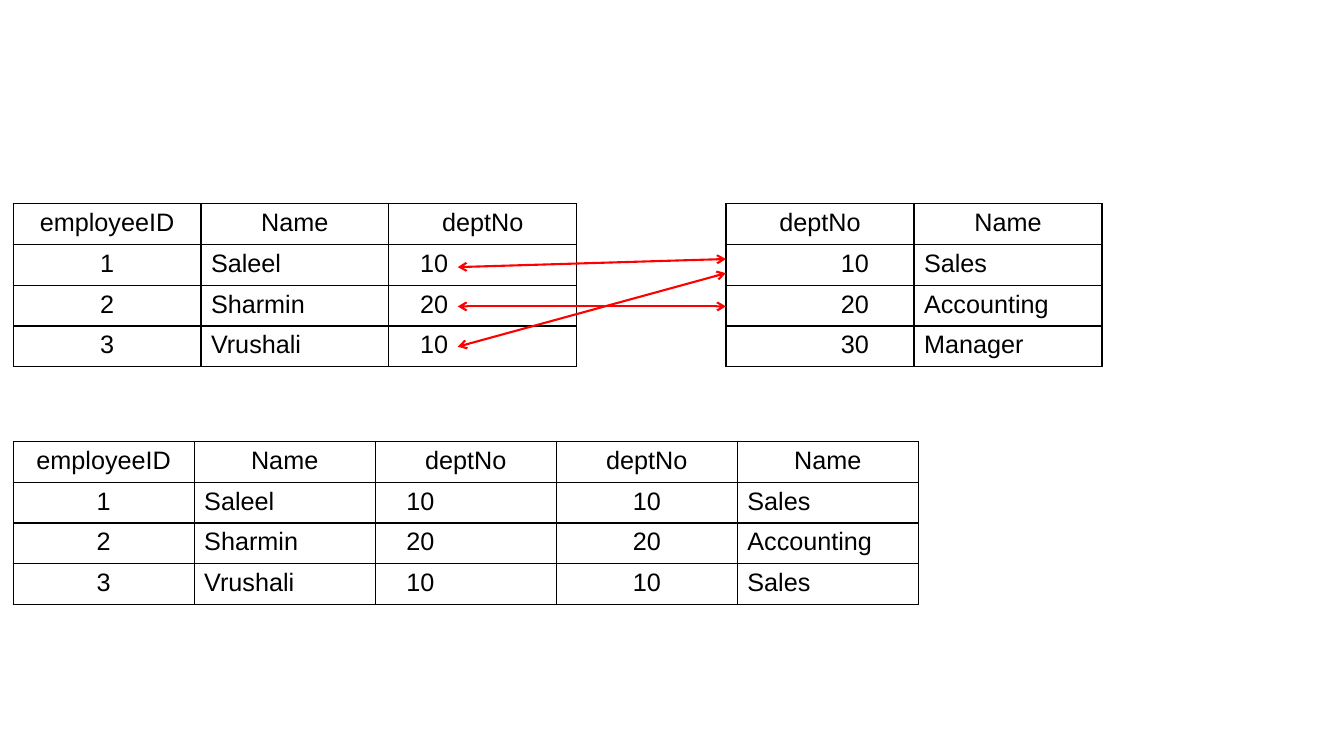
import pptx
import pptx.util
import pptx.dml.color
import pptx.enum.shapes
import pptx.enum.text
import pptx.oxml
import pptx.oxml.ns
from lxml import etree

Inches = pptx.util.Inches
Pt = pptx.util.Pt
qn = pptx.oxml.ns.qn
ALIGN = pptx.enum.text.PP_ALIGN

COLORS = {"ink": "000000", "link": "FF0000"}
ROW = 0.405

# Column formats: alignment and left margin
MID = (ALIGN.CENTER, 0.1)
LEFT = (ALIGN.LEFT, 0.1)
NEAR = (ALIGN.LEFT, 0.31)
FAR = (ALIGN.LEFT, 1.14)

STAFF = [
    ["employeeID", "Name", "deptNo"],
    ["1", "Saleel", "10"],
    ["2", "Sharmin", "20"],
    ["3", "Vrushali", "10"],
]
DEPTS = [
    ["deptNo", "Name"],
    ["10", "Sales"],
    ["20", "Accounting"],
    ["30", "Manager"],
]


def rgb(name):
    return pptx.dml.color.RGBColor.from_string(COLORS[name])


def style(thing, form):
    for key, value in form.items():
        setattr(thing, key, value)


def border(cell):
    props = cell._tc.get_or_add_tcPr()
    for spot, side in enumerate(("lnL", "lnR", "lnT", "lnB")):
        line = etree.Element(qn("a:" + side), w=str(Pt(1)))
        fill = etree.SubElement(line, qn("a:solidFill"))
        etree.SubElement(fill, qn("a:srgbClr"), val=COLORS["ink"])
        props.insert(spot, line)


def fill_cell(cell, text, form):
    align, left = form
    cell.fill.background()
    border(cell)
    style(cell, {"margin_left": Inches(left), "text": text})
    para = cell.text_frame.paragraphs[0]
    para.alignment = align
    font = para.runs[0].font
    style(font, {"name": "Arial", "size": Pt(18), "bold": False})
    font.color.rgb = rgb("ink")


def add_grid(slide, box, rows, forms):
    left, top, width = box
    count = len(forms)
    frame = slide.shapes.add_table(
        len(rows), count, Inches(left), Inches(top),
        Inches(width), Inches(ROW * len(rows)))
    table = frame.table
    style(table, {"first_row": False, "horz_banding": False})
    for col in table.columns:
        col.width = Inches(width / count)
    for r, row in enumerate(rows):
        table.rows[r].height = Inches(ROW)
        for c, text in enumerate(row):
            fill_cell(table.cell(r, c), text, forms[c] if r else MID)


def add_links(slide, box, ends):
    left, top, width = box
    for start, stop in ends:
        link = slide.shapes.add_connector(
            pptx.enum.shapes.MSO_CONNECTOR.STRAIGHT,
            Inches(left), Inches(top + start),
            Inches(left + width), Inches(top + stop))
        link.line.color.rgb = rgb("link")
        link.line.width = Pt(1.5)
        # Arrowheads at both ends, no shadow
        line = link.line._get_or_add_ln()
        for end in ("a:headEnd", "a:tailEnd"):
            etree.SubElement(line, qn(end), type="arrow")
        etree.SubElement(link._element.spPr, qn("a:effectLst"))


def main():
    deck = pptx.Presentation()
    style(deck, {"slide_width": Inches(13.33), "slide_height": Inches(7.5)})
    slide = deck.slides.add_slide(deck.slide_layouts[6])

    # Source tables
    add_grid(slide, (0.13, 2.02, 5.59), STAFF, [MID, LEFT, NEAR])
    add_grid(slide, (7.2, 2.02, 3.73), DEPTS, [FAR, LEFT])

    # Joined table: each employee with the matching department
    names = dict(DEPTS)
    joined = [STAFF[0] + DEPTS[0]]
    joined += [row + [row[2], names[row[2]]] for row in STAFF[1:]]
    add_grid(slide, (0.13, 4.38, 8.98), joined,
             [MID, LEFT, NEAR, MID, LEFT])

    # Links between matching department numbers
    add_links(slide, (4.54, 2.02, 2.66),
              [(0.63, 0.55), (1.02, 1.02), (1.42, 0.69)])

    deck.save("out.pptx")


if __name__ == "__main__":
    main()
